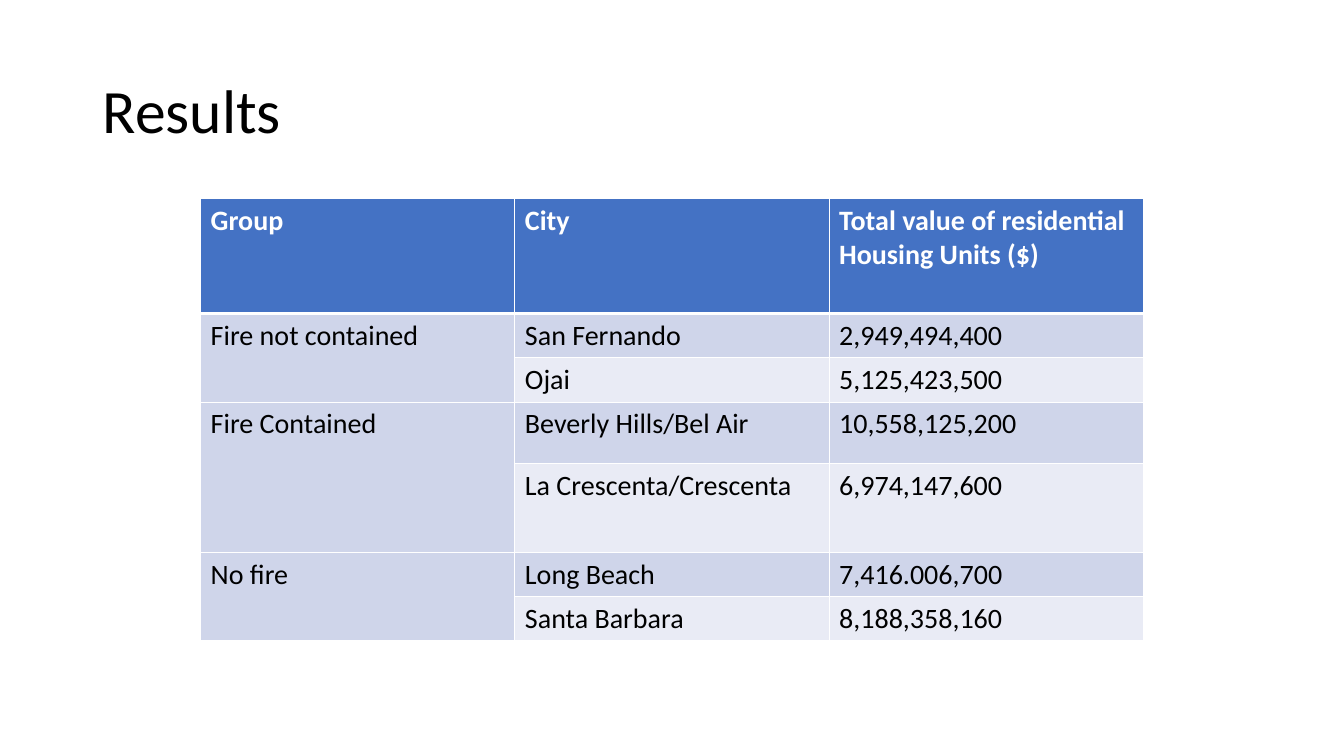
from lxml import etree
from pptx import Presentation
from pptx.dml.color import RGBColor
from pptx.enum.text import MSO_ANCHOR
from pptx.oxml.ns import qn
from pptx.util import Inches, Pt

MIDDLE = MSO_ANCHOR.MIDDLE
FONT = "Calibri"
WHITE, BLACK = "FFFFFF", "000000"
HEADER_FILL, DARK_BAND, LIGHT_BAND = "4472C4", "CFD5EA", "E9EBF5"
THIN, THICK = 1, 3

HEADINGS = ("Group", "City", "Total value of residential Housing Units ($)")
GROUPS = (
    ("Fire not contained", (("San Fernando", "2,949,494,400"), ("Ojai", "5,125,423,500"))),
    ("Fire Contained", (("Beverly Hills/Bel Air", "10,558,125,200"),
                        ("La Crescenta/Crescenta", "6,974,147,600"))),
    ("No fire", (("Long Beach", "7,416.006,700"), ("Santa Barbara", "8,188,358,160"))),
)
ROW_HEIGHTS = (1.14, 0.44, 0.44, 0.61, 0.88, 0.44, 0.44)


def color(hex_value):
    """Return the colour for a hex string."""
    return RGBColor.from_string(hex_value)


def format_text(paragraph, size, hex_value, bold=False):
    """Format every run of a paragraph."""
    for run in paragraph.runs:
        run.font.name = FONT
        run.font.size = Pt(size)
        run.font.bold = bold
        run.font.color.rgb = color(hex_value)


def add_title(slide, text, left, top, width, height):
    """Place the slide title, centred vertically in its box."""
    shape = slide.shapes.add_textbox(Inches(left), Inches(top), Inches(width), Inches(height))
    frame = shape.text_frame
    frame.word_wrap = True
    frame.vertical_anchor = MIDDLE
    frame.text = text
    frame.paragraphs[0].line_spacing = 0.9
    format_text(frame.paragraphs[0], 44, BLACK)


def set_borders(cell, top, bottom):
    """Give a cell white borders with the given top and bottom widths."""
    properties = cell._tc.get_or_add_tcPr()
    sides = (("a:lnL", THIN), ("a:lnR", THIN), ("a:lnT", top), ("a:lnB", bottom))
    for position, (tag, width) in enumerate(sides):
        line = etree.Element(qn(tag), w=str(Pt(width)))
        fill = etree.SubElement(line, qn("a:solidFill"))
        etree.SubElement(fill, qn("a:srgbClr"), val=WHITE)
        properties.insert(position, line)


def style_cell(cell, row, column):
    """Fill, outline and format a cell by its place in the table."""
    header = row == 0
    band = DARK_BAND if column == 0 or row % 2 else LIGHT_BAND
    cell.fill.solid()
    cell.fill.fore_color.rgb = color(HEADER_FILL if header else band)
    set_borders(cell, THICK if row == 1 else THIN, THICK if header else THIN)
    format_text(cell.text_frame.paragraphs[0], 20, WHITE if header else BLACK, header)


def add_results_table(slide, left, top, width):
    """Place the housing values, with one merged label for each group."""
    row_count, column_count = len(ROW_HEIGHTS), len(HEADINGS)
    table = slide.shapes.add_table(row_count, column_count, Inches(left), Inches(top),
                                   Inches(width), Inches(sum(ROW_HEIGHTS))).table
    for row, height in zip(table.rows, ROW_HEIGHTS):
        row.height = Inches(height)
    for column, heading in enumerate(HEADINGS):
        table.cell(0, column).text = heading
    row = 1
    for group, cities in GROUPS:
        table.cell(row, 0).merge(table.cell(row + len(cities) - 1, 0))
        table.cell(row, 0).text = group
        for city, value in cities:
            table.cell(row, 1).text = city
            table.cell(row, 2).text = value
            row += 1
    for row in range(row_count):
        for column in range(column_count):
            style_cell(table.cell(row, column), row, column)


def main():
    """Build and save the results slide."""
    presentation = Presentation()
    presentation.slide_width = Inches(13.33)
    presentation.slide_height = Inches(7.5)
    slide = presentation.slides.add_slide(presentation.slide_layouts[6])
    add_title(slide, "Results", 0.92, 0.4, 11.5, 1.45)
    add_results_table(slide, 1.99, 1.97, 9.35)
    presentation.save("out.pptx")


if __name__ == "__main__":
    main()
